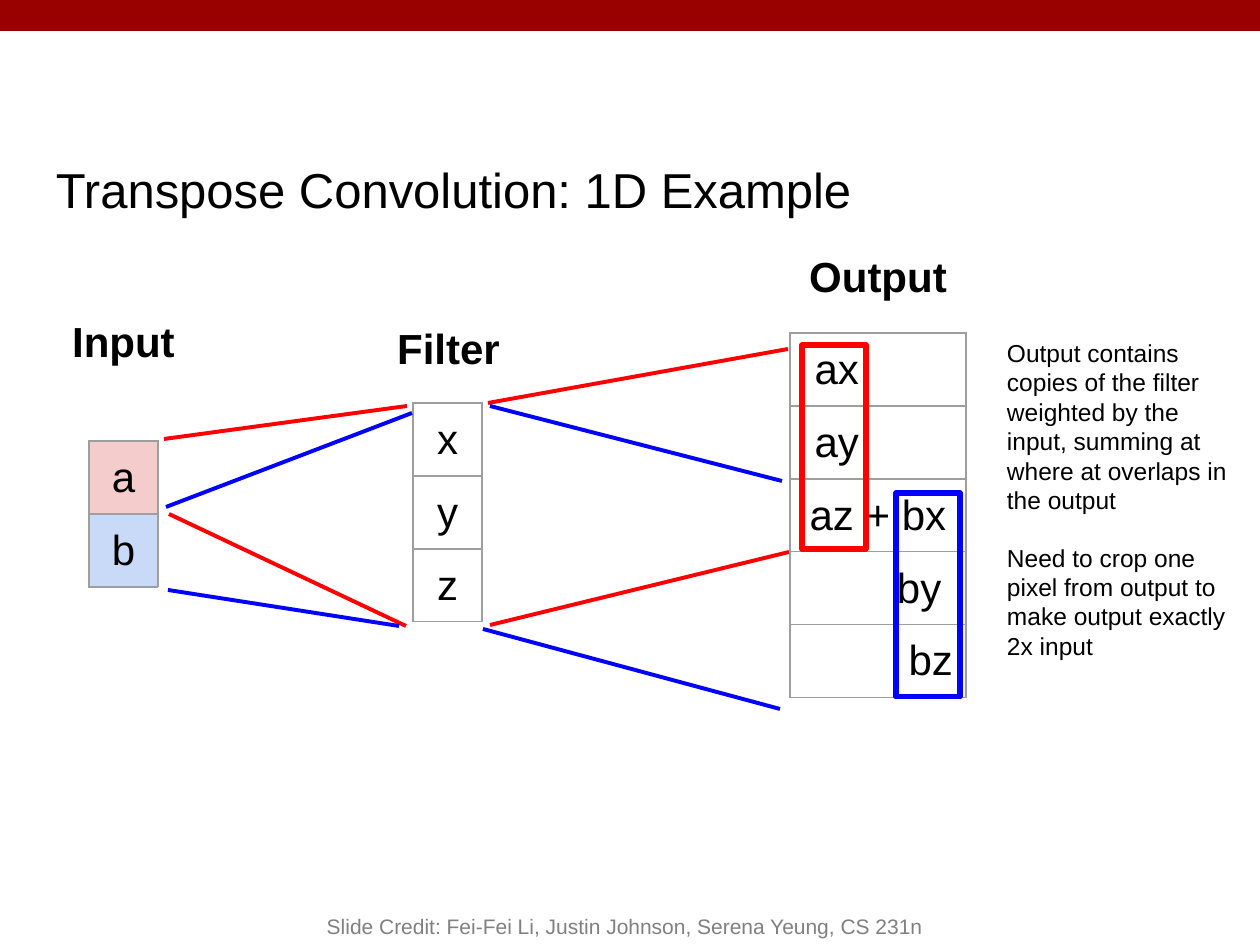
from lxml import etree
from pptx import Presentation
from pptx.dml.color import RGBColor
from pptx.enum.shapes import MSO_CONNECTOR, MSO_SHAPE
from pptx.enum.text import MSO_ANCHOR as ANCHOR, PP_ALIGN as ALIGN
from pptx.oxml import parse_xml
from pptx.oxml.ns import nsdecls, qn
from pptx.util import Emu, Pt

PX = 914400 / 126
INSET = 13
ROW_H = 73
BLACK = RGBColor(0, 0, 0)
GRAY = RGBColor(0x80, 0x80, 0x80)
MAROON = RGBColor(0x99, 0, 0)
RED = RGBColor(0xFF, 0, 0)
BLUE = RGBColor(0, 0, 0xFF)
PINK = RGBColor(0xF4, 0xCC, 0xCC)
PALE_BLUE = RGBColor(0xC9, 0xDA, 0xF8)
BORDER = RGBColor(0x9E, 0x9E, 0x9E)


def px(*lengths):
    """Turn pixel lengths into EMU."""
    return [Emu(round(n * PX)) for n in lengths]


def write(tf, text, size, color=BLACK, bold=False, align=ALIGN.LEFT):
    """Fill a text frame, one paragraph per line of text."""
    tf.text = text
    for p in tf.paragraphs:
        p.alignment = align
        for r in p.runs:
            r.font.name = "Arial"
            r.font.size = Pt(size)
            r.font.bold = bold
            r.font.color.rgb = color


prs = Presentation()
prs.slide_width, prs.slide_height = px(1260, 945)
s = prs.slides.add_slide(prs.slide_layouts[6])

bar = s.shapes.add_shape(MSO_SHAPE.RECTANGLE, *px(0, 0, 1260, 31))
bar.shadow.inherit = False
bar.fill.solid()
bar.fill.fore_color.rgb = MAROON
bar.line.fill.background()

# Tables: left, top, width, then text, alignment and fill of each row
L, C, R = ALIGN.LEFT, ALIGN.CENTER, ALIGN.RIGHT
tables = [
    (89, 441, 69, [("a", C, PINK), ("b", C, PALE_BLUE)]),
    (413, 403, 69, [("x", C, None), ("y", C, None), ("z", C, None)]),
    (790, 333, 176, [(" ax", L, None), (" ay", L, None), ("az + bx", C, None),
                     (" by ", R, None), ("bz", R, None)]),
]
for left, top, width, rows in tables:
    frame = s.shapes.add_table(
        len(rows), 1, *px(left, top, width, ROW_H * len(rows)))
    table = frame.table
    table.first_row = table.horz_banding = False
    for i, (text, align, fill) in enumerate(rows):
        cell = table.cell(i, 0)
        write(cell.text_frame, text, 24, align=align)
        cell.vertical_anchor = ANCHOR.MIDDLE
        (cell.margin_left, cell.margin_right,
         cell.margin_top, cell.margin_bottom) = px(*[INSET] * 4)
        if fill:
            cell.fill.solid()
            cell.fill.fore_color.rgb = fill
        else:
            cell.fill.background()
        tcPr = cell._tc.get_or_add_tcPr()
        for k, side in enumerate(("lnL", "lnR", "lnT", "lnB")):
            tcPr.insert(k, parse_xml(
                f'<a:{side} {nsdecls("a")} w="9525"><a:solidFill>'
                f'<a:srgbClr val="{BORDER}"/></a:solidFill></a:{side}>'))

# Outlines around the two weighted copies of the filter
for left, top, color in [(802, 345, RED), (896, 493, BLUE)]:
    box = s.shapes.add_shape(MSO_SHAPE.RECTANGLE, *px(left, top, 64, 204))
    box.shadow.inherit = False
    box.fill.background()
    box.line.color.rgb = color
    box.line.width = Pt(3)
    etree.SubElement(box.line._get_or_add_ln(), qn("a:round"))

links = [
    (164, 439, 407, 406, RED), (488, 403, 788, 349, RED),
    (490, 625, 789, 552, RED), (169, 514, 406, 626, RED),
    (168, 590, 399, 626, BLUE), (166, 507, 412, 413, BLUE),
    (483, 629, 780, 709, BLUE), (490, 406, 782, 481, BLUE),
]
for *ends, color in links:
    link = s.shapes.add_connector(MSO_CONNECTOR.STRAIGHT, *px(*ends))
    link.line.color.rgb = color
    link.line.width = Pt(2.25)
    etree.SubElement(link._element.spPr, qn("a:effectLst"))

# Text boxes: place, text, size, colour, bold, alignment, anchor
note = ("Output contains copies of the filter weighted by the input, "
        "summing at where at overlaps in the output\n"
        "Need to crop one pixel from output to make output exactly 2x input")
credit = "Slide Credit: Fei-Fei Li, Justin Johnson, Serena Yeung, CS 231n"
texts = [
    ((43, 130, 1134, 118), "Transpose Convolution: 1D Example", 28, BLACK,
     False, L, ANCHOR.MIDDLE),
    ((44, 303, 159, 64), "Input", 24, BLACK, True, C, ANCHOR.TOP),
    ((369, 310, 159, 64), "Filter", 24, BLACK, True, C, ANCHOR.TOP),
    ((786, 238, 184, 64), "Output", 24, BLACK, True, C, ANCHOR.TOP),
    ((994, 325, 251, 208), note, 14, BLACK, False, L, ANCHOR.TOP),
    ((252, 882, 746, 63), credit, 12, GRAY, False, C, ANCHOR.BOTTOM),
]
for place, text, size, color, bold, align, anchor in texts:
    tf = s.shapes.add_textbox(*px(*place)).text_frame
    tf.word_wrap = True
    tf.vertical_anchor = anchor
    tf.margin_left, tf.margin_right = px(INSET, INSET)
    if anchor != ANCHOR.BOTTOM:
        tf.margin_top, tf.margin_bottom = px(INSET, INSET)
    write(tf, text, size, color, bold, align)
    for p in tf.paragraphs[1:]:
        p.space_before = Pt(16)

prs.save("out.pptx")
